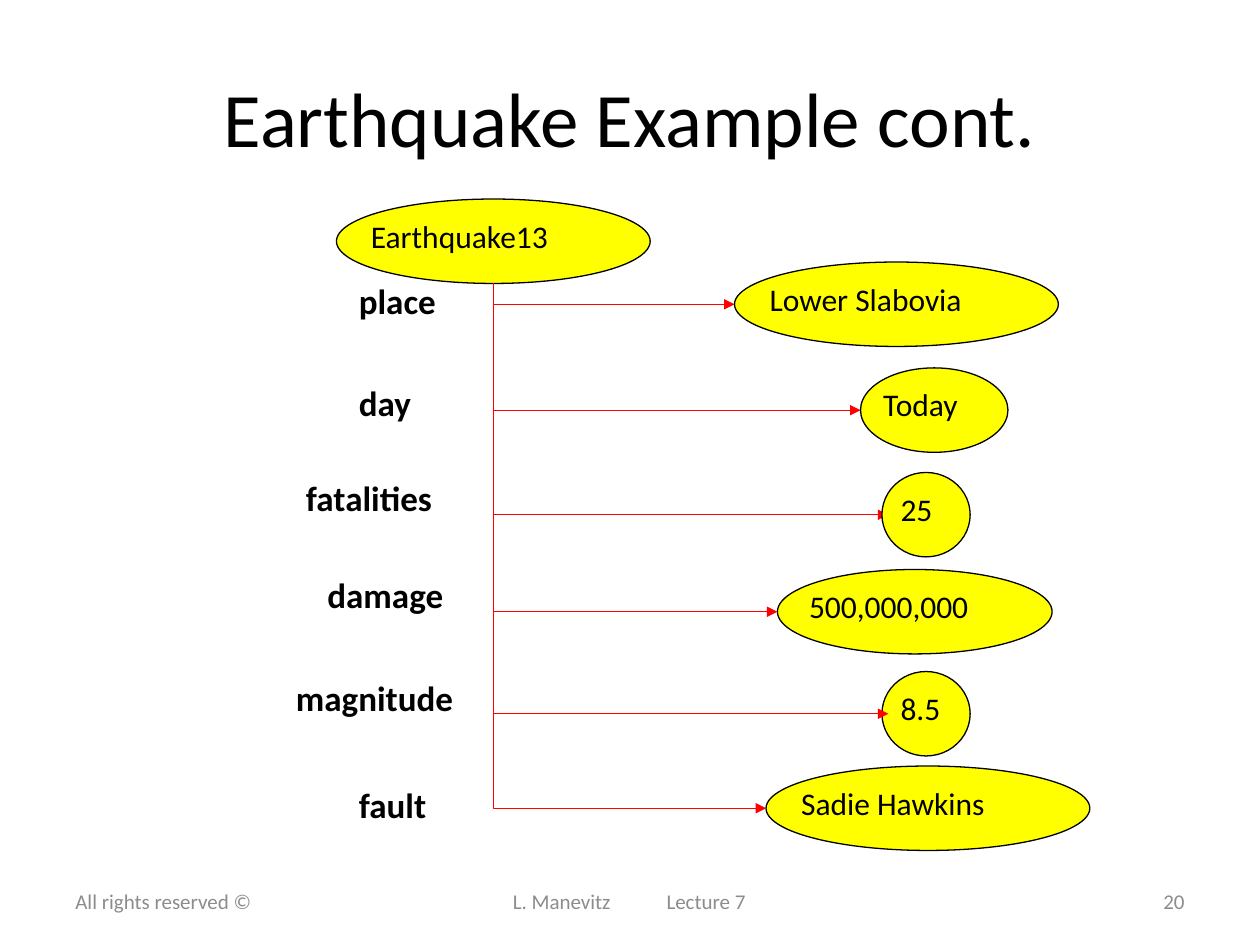
"""Build the slide that shows an earthquake frame with its slots and values."""
from lxml.etree import SubElement
from pptx import Presentation
from pptx.dml.color import RGBColor
from pptx.enum.shapes import MSO_CONNECTOR, MSO_SHAPE
from pptx.enum.text import MSO_ANCHOR, PP_ALIGN
from pptx.oxml.ns import qn
from pptx.util import Inches, Pt

FONT = "Calibri"
BLACK, GREY, YELLOW, RED = "000000", "8C8C8C", "FFFF00", "FF0000"
NODE_H = 0.67
ROOT = ("Earthquake13", 2.67, 1.58, 2.49)
# slot, label left, top, width; value, node left, top, width; arrow end
SLOTS = [
    (("place", 2.75, 2.17, 0.83), ("Lower Slabovia", 5.83, 2.08, 2.57), 5.83),
    (("day", 2.75, 2.98, 0.83), ("Today", 6.83, 2.92, 1.17), 6.83),
    (("fatalities", 2.33, 3.73, 1.25), ("25", 7, 3.75, 0.7), 7.05),
    (("damage", 2.5, 4.5, 1.25), ("500,000,000", 6.17, 4.52, 2.18), 6.17),
    (("magnitude", 2.25, 5.32, 1.5), ("8.5", 7, 5.33, 0.7), 7.05),
    (("fault", 2.75, 6.17, 1.25), ("Sadie Hawkins", 6.08, 6.08, 2.57), 6.08),
]
ARROWS_BELOW = 4
FOOTERS = [
    ("All rights reserved ©", 0.5, 2.33, PP_ALIGN.LEFT),
    ("L. Manevitz\tLecture 7", 3.42, 3.17, PP_ALIGN.LEFT),
    ("20", 7.17, 2.33, PP_ALIGN.RIGHT),
]


def rgb(value):
    return RGBColor.from_string(value)


def add_text(s, text, x, y, w, h, size, color=BLACK, bold=False,
             align=PP_ALIGN.LEFT, anchor=MSO_ANCHOR.TOP):
    tf = s.shapes.add_textbox(*map(Inches, (x, y, w, h))).text_frame
    tf.word_wrap = True
    tf.vertical_anchor = anchor
    p = tf.paragraphs[0]
    p.text = text
    p.alignment = align
    for r in p.runs:
        r.font.name, r.font.size, r.font.bold = FONT, Pt(size), bold
        r.font.color.rgb = rgb(color)
    return tf


def add_node(s, text, x, y, w):
    sp = s.shapes.add_shape(MSO_SHAPE.OVAL, *map(Inches, (x, y, w, NODE_H)))
    sp.shadow.inherit = False
    sp.fill.solid()
    sp.fill.fore_color.rgb = rgb(YELLOW)
    sp.line.color.rgb = rgb(BLACK)
    sp.line.width = Pt(0.75)
    add_text(s, text, x + 0.07 * w, y + 0.09, w, 0.5, 18)


def add_arrow(s, x1, y1, x2, y2):
    across, down = x2 - x1, y2 - y1
    left = (x1 + x2 - down) / 2
    top = (y1 + y2 - across) / 2
    cx = s.shapes.add_connector(
        MSO_CONNECTOR.ELBOW,
        *map(Inches, (left + down, top, left, top + across)))
    cx.line.color.rgb = rgb(RED)
    cx.line.width = Pt(0.75)
    sp_pr = cx.line._get_or_add_ln().getparent()
    sp_pr.find(qn("a:xfrm")).set("rot", str(270 * 60000))
    sp_pr.find(qn("a:prstGeom")).set("prst", "bentConnector2")
    SubElement(sp_pr.find(qn("a:ln")), qn("a:tailEnd"), type="triangle")
    SubElement(sp_pr, qn("a:effectLst"))


def add_slot_arrows(s, slots):
    _, x, y, w = ROOT
    for _, node, end in slots:
        add_arrow(s, x + w / 2, y + NODE_H, end, node[2] + NODE_H / 2)


def add_footers(s):
    for text, x, w, align in FOOTERS:
        tf = add_text(s, text, x, 6.95, w, 0.4, 12, GREY,
                      align=align, anchor=MSO_ANCHOR.MIDDLE)
        if "\t" in text:
            tf.margin_left = Inches(0.65)
            p_pr = tf.paragraphs[0]._p.get_or_add_pPr()
            tabs = SubElement(p_pr, qn("a:tabLst"))
            SubElement(tabs, qn("a:tab"), pos=str(Inches(1.22)), algn="l")


def main():
    prs = Presentation()
    prs.slide_width, prs.slide_height = Inches(10), Inches(7.5)
    s = prs.slides.add_slide(prs.slide_layouts[6])
    add_footers(s)
    add_text(s, "Earthquake Example cont.", 0.5, 0.3, 9, 1.25, 44,
             align=PP_ALIGN.CENTER, anchor=MSO_ANCHOR.MIDDLE)
    add_node(s, *ROOT)
    add_slot_arrows(s, SLOTS[:ARROWS_BELOW])
    for label, node, _ in SLOTS:
        add_text(s, *label, 0.43, 20, bold=True)
        add_node(s, *node)
    add_slot_arrows(s, SLOTS[ARROWS_BELOW:])
    prs.save("out.pptx")


if __name__ == "__main__":
    main()
